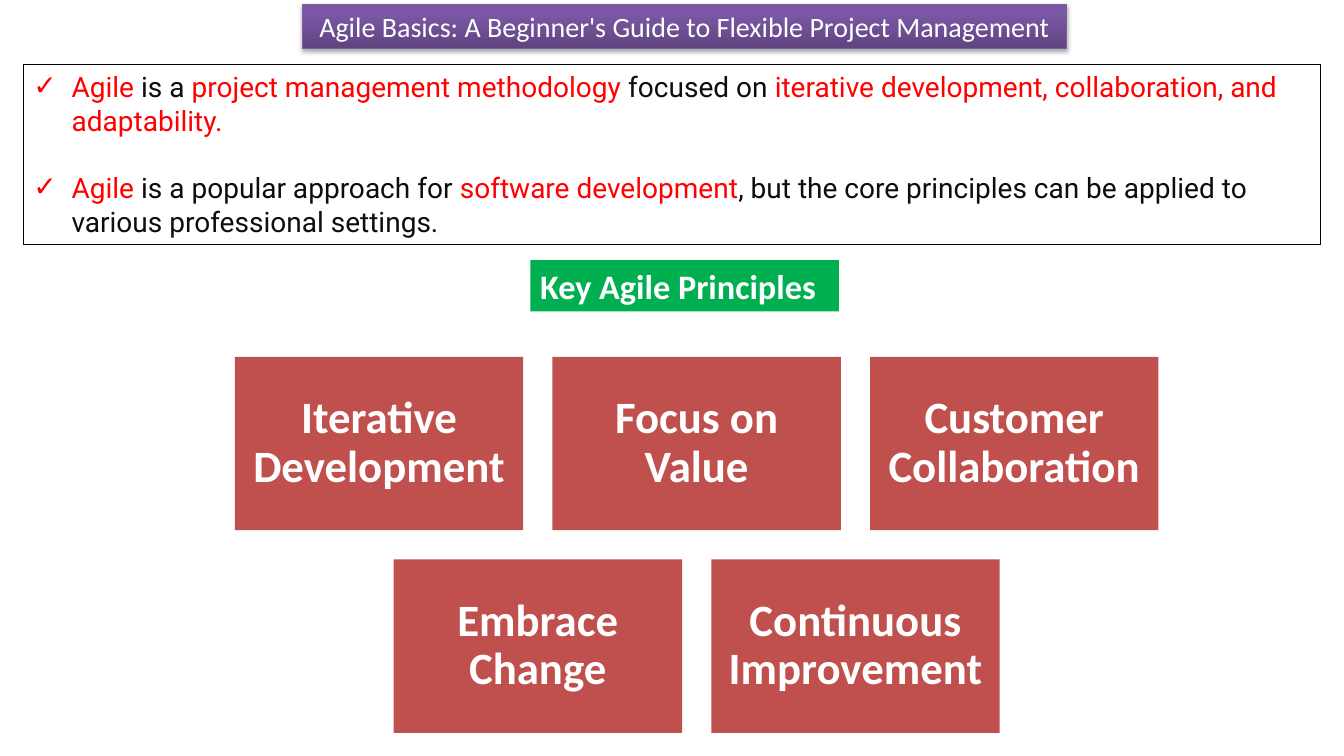
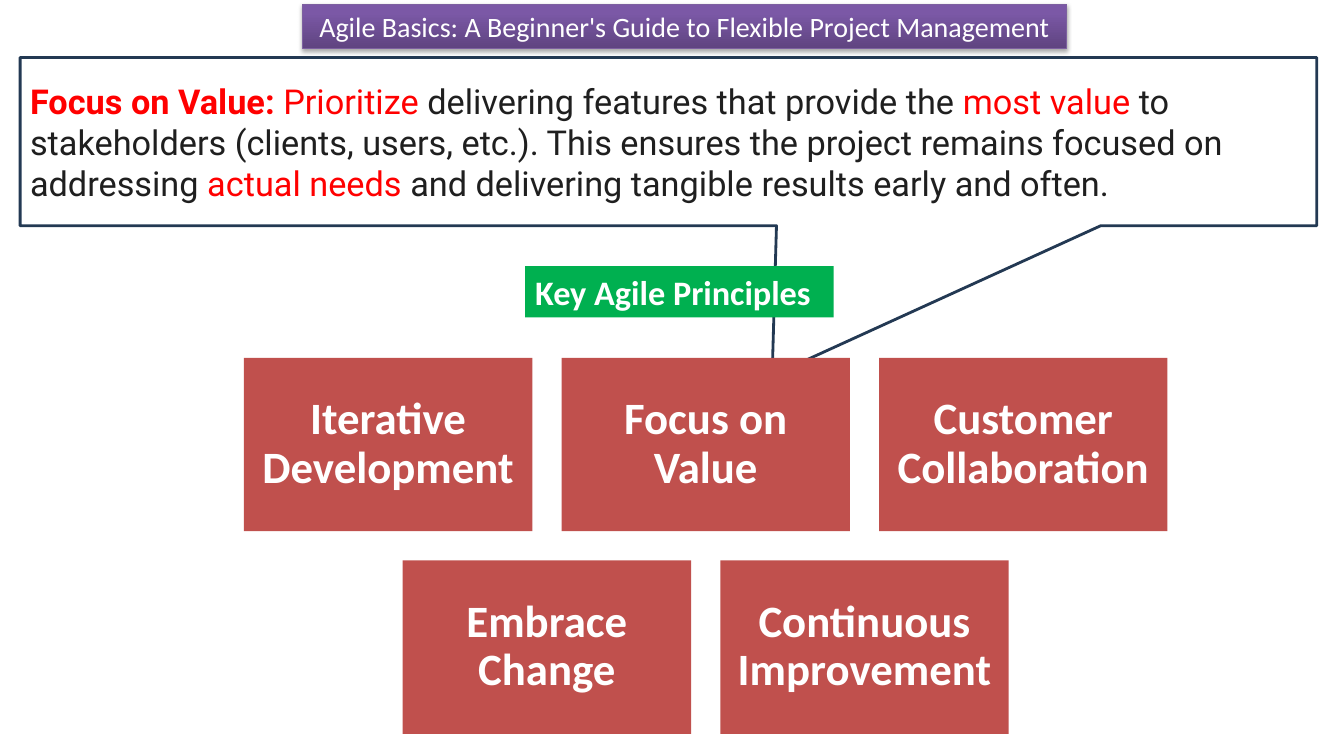
from pptx import Presentation
from pptx.dml.color import RGBColor
from pptx.enum.shapes import MSO_SHAPE
from pptx.enum.text import MSO_ANCHOR, MSO_AUTO_SIZE, PP_ALIGN
from pptx.oxml import parse_xml
from pptx.oxml.ns import nsdecls
from pptx.util import Inches, Pt

WHITE = RGBColor(0xFF, 0xFF, 0xFF)
BLACK = RGBColor(0x00, 0x00, 0x00)
RED = RGBColor(0xFF, 0x00, 0x00)
INK = RGBColor(0x0D, 0x0D, 0x0D)
GREY = RGBColor(0x1F, 0x1F, 0x1F)
NAVY = RGBColor(0x23, 0x39, 0x53)
GREEN = RGBColor(0x00, 0xB0, 0x50)
BRICK = RGBColor(0xC0, 0x50, 0x4D)
PURPLE = RGBColor(0x7B, 0x58, 0xA6)
DARK_PURPLE = RGBColor(0x5F, 0x44, 0x80)
LINE_PURPLE = RGBColor(0x7D, 0x60, 0xA0)

HEAD_FONT = "Calibri"
TEXT_FONT = "Roboto"
TITLE = "Agile Basics: A Beginner's Guide to Flexible Project Management"
PRINCIPLES = [
    ["Iterative Development", "Focus on Value", "Customer Collaboration"],
    ["Embrace Change", "Continuous Improvement"],
]
TILE_W, TILE_H = 2.86, 1.72
STEP_X, STEP_Y = 3.15, 2.01


class Deck:
    def __init__(self):
        self.prs = Presentation()
        self.prs.slide_width = Inches(13.33)
        self.prs.slide_height = Inches(7.5)
        self.s = None

    def slide(self, layout):
        self.s = self.prs.slides.add_slide(self.prs.slide_layouts[layout])
        self.title()

    def place(self, sp, x, y, w, h):
        sp.left, sp.top = Inches(x), Inches(y)
        sp.width, sp.height = Inches(w), Inches(h)

    def outline(self, sp, color, width):
        sp.line.color.rgb = color
        sp.line.width = Pt(width)

    def frame(self, sp, anchor=MSO_ANCHOR.MIDDLE):
        tf = sp.text_frame
        tf.word_wrap = True
        tf.auto_size = MSO_AUTO_SIZE.NONE
        tf.vertical_anchor = anchor
        return tf

    def add_runs(self, p, runs, size, font, align=PP_ALIGN.LEFT):
        p.alignment = align
        p.space_before = Pt(0)
        for text, color, bold in runs:
            r = p.add_run()
            r.text = text
            r.font.size = Pt(size)
            r.font.name = font
            r.font.bold = bold
            r.font.color.rgb = color

    def shape(self, kind, x, y, w, h, fill):
        sp = self.s.shapes.add_shape(kind, Inches(x), Inches(y), Inches(w), Inches(h))
        sp.shadow.inherit = False
        sp.fill.solid()
        sp.fill.fore_color.rgb = fill
        sp.line.fill.background()
        return sp

    def title(self):
        sp = self.s.shapes.title
        self.place(sp, 3, 0.04, 7.58, 0.44)
        sp.fill.gradient()
        sp.fill.gradient_angle = 90
        for stop, position, color in zip(sp.fill.gradient_stops, (0, 0.8), (DARK_PURPLE, PURPLE)):
            stop.position = position
            stop.color.rgb = color
        self.outline(sp, LINE_PURPLE, 0.75)
        sp.element.spPr.append(parse_xml(
            f'<a:effectLst {nsdecls("a")}>'
            f'<a:outerShdw blurRad="{Pt(3.1)}" dist="{Pt(1.8)}" dir="5400000" rotWithShape="0">'
            '<a:srgbClr val="000000"><a:alpha val="35000"/></a:srgbClr>'
            '</a:outerShdw></a:effectLst>'))
        p = self.frame(sp).paragraphs[0]
        self.add_runs(p, [(TITLE, WHITE, False)], 20, HEAD_FONT, PP_ALIGN.CENTER)

    def checklist(self, items):
        sp = self.s.placeholders[1]
        self.place(sp, 0.23, 0.64, 12.86, 1.78)
        sp.fill.solid()
        sp.fill.fore_color.rgb = WHITE
        self.outline(sp, BLACK, 0.25)
        tf = self.frame(sp, MSO_ANCHOR.TOP)
        for i, runs in enumerate(items):
            p = tf.add_paragraph() if i else tf.paragraphs[0]
            pPr = p._p.get_or_add_pPr()
            pPr.set("marL", str(Inches(0.38)))
            pPr.set("indent", str(-Inches(0.38)))
            pPr.append(parse_xml(f'<a:buChar {nsdecls("a")} char="✓"/>'))
            self.add_runs(p, runs, 20, TEXT_FONT)
            if i:
                p.space_before = Pt(24)

    def callout(self, runs):
        sp = self.shape(MSO_SHAPE.RECTANGULAR_CALLOUT, 0.2, 0.57, 12.86, 1.67, WHITE)
        sp.adjustments[0] = 0.08
        sp.adjustments[1] = 1.39
        self.outline(sp, NAVY, 2)
        self.add_runs(self.frame(sp).paragraphs[0], runs, 24.5, TEXT_FONT)

    def label(self, text, x, y):
        sp = self.shape(MSO_SHAPE.RECTANGLE, x, y, 3.06, 0.51, GREEN)
        self.add_runs(self.frame(sp).paragraphs[0], [(text, WHITE, True)], 24.5, HEAD_FONT)

    def tile(self, text, x, y):
        sp = self.shape(MSO_SHAPE.RECTANGLE, x, y, TILE_W, TILE_H, BRICK)
        tf = self.frame(sp)
        tf.margin_left = tf.margin_right = tf.margin_top = tf.margin_bottom = Inches(0.13)
        p = tf.paragraphs[0]
        p.line_spacing = 0.9
        self.add_runs(p, [(text, WHITE, True)], 32, HEAD_FONT, PP_ALIGN.CENTER)

    def tiles(self, x, y):
        columns = len(PRINCIPLES[0])
        for i, row in enumerate(PRINCIPLES):
            indent = (columns - len(row)) * STEP_X / 2
            for j, text in enumerate(row):
                self.tile(text, x + indent + j * STEP_X, y + i * STEP_Y)


def main():
    deck = Deck()

    deck.slide(1)
    deck.checklist([
        [("Agile", RED, False),
         (" is a ", INK, False),
         ("project management methodology ", RED, False),
         ("focused on ", INK, False),
         ("iterative development, collaboration, and adaptability.", RED, False)],
        [("Agile", RED, False),
         (" is a popular approach for ", INK, False),
         ("software development", RED, False),
         (", but the core principles can be applied to various professional settings.", INK, False)],
    ])
    deck.label("Key Agile Principles", 5.26, 2.58)
    deck.tiles(2.33, 3.54)

    deck.slide(5)
    deck.callout([
        ("Focus on Value:", RED, True),
        (" Prioritize", RED, False),
        (" delivering features that provide the ", GREY, False),
        ("most value ", RED, False),
        ("to stakeholders (clients, users, etc.). This ensures the project remains "
         "focused on addressing ", GREY, False),
        ("actual needs ", RED, False),
        ("and delivering tangible results early and often.", GREY, False),
    ])
    deck.label("Key Agile Principles", 5.21, 2.64)
    deck.tiles(2.42, 3.55)

    deck.prs.save("out.pptx")


if __name__ == "__main__":
    main()
